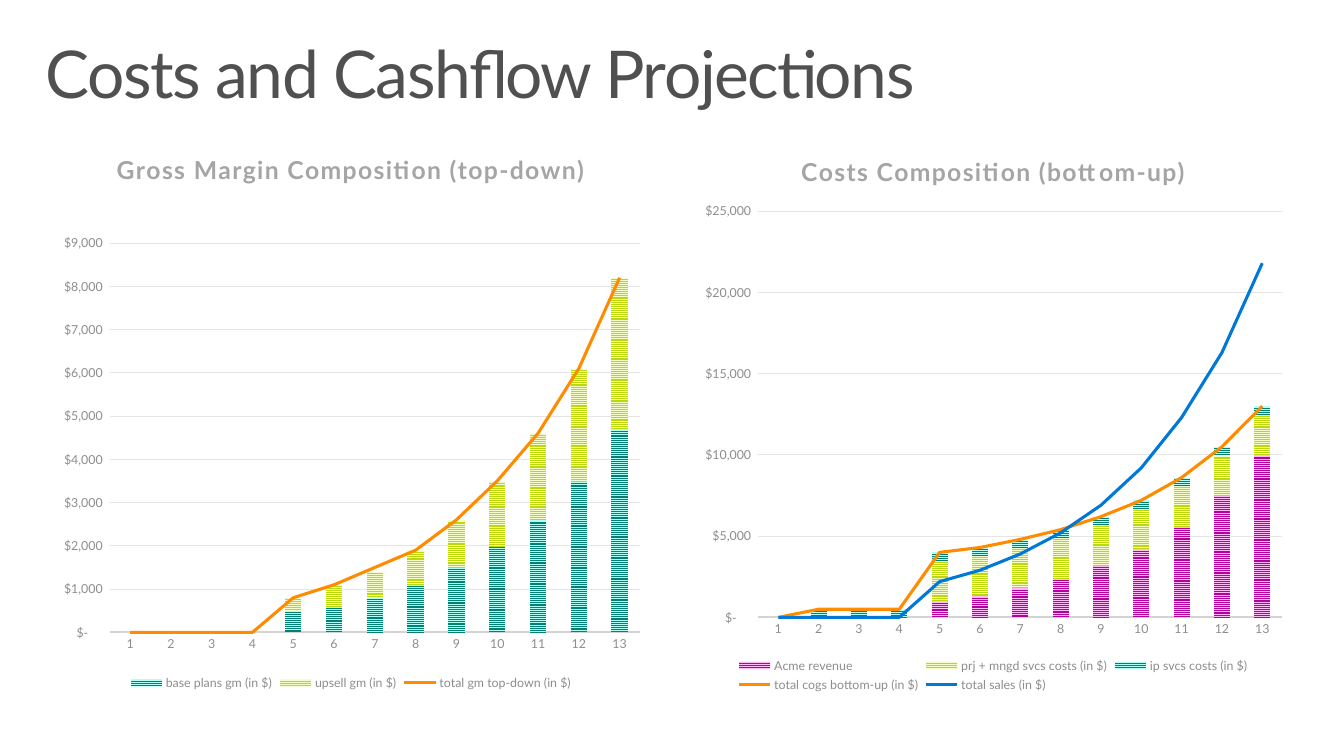
from lxml import etree
from pptx import Presentation
from pptx.chart.data import CategoryChartData
from pptx.dml.color import RGBColor
from pptx.enum import chart as ch, dml, text as tx
from pptx.oxml import parse_xml
from pptx.oxml.ns import nsdecls, qn
from pptx.util import Cm, Pt

FONT = "Lato"
DARK = RGBColor(0x50, 0x50, 0x50)
TITLE_GRAY = RGBColor(0xA5, 0xA5, 0xA5)
LABEL_GRAY = RGBColor(0x8D, 0x8D, 0x8D)
AXIS_GRAY = RGBColor(0xD3, 0xD3, 0xD3)
GRID_GRAY = RGBColor(0xE5, 0xE5, 0xE5)
ORANGE = RGBColor(0xFF, 0x8C, 0x00)
BLUE = RGBColor(0x00, 0x78, 0xD7)
# Stripe colours: foreground, background
TEAL = RGBColor(0x00, 0x82, 0x72), RGBColor(0xB3, 0xFF, 0xF6)
LIME = RGBColor(0xBA, 0xD8, 0x0A), RGBColor(0xF5, 0xFC, 0xC9)
PURPLE = RGBColor(0xB4, 0x00, 0x9E), RGBColor(0xFF, 0xBD, 0xF7)

MONEY = '_("$"* #,##0_);_("$"* \\(#,##0\\);_("$"* "-"??_);_(@_)'
PERIODS = [str(number) for number in range(1, 14)]
IDLE = [0] * 4

# Each series: name, values, colour
MARGIN_BARS = [
    ("base plans gm (in $)",
     IDLE + [500, 600, 800, 1100, 1500, 2000, 2600, 3500, 4700], TEAL),
    ("upsell gm (in $)",
     IDLE + [300, 500, 600, 800, 1100, 1500, 2000, 2600, 3500], LIME),
]
MARGIN_LINES = [
    ("total gm top-down (in $)",
     IDLE + [800, 1100, 1500, 1900, 2600, 3500, 4600, 6100, 8200], ORANGE),
]
COST_BARS = [
    ("Acme revenue",
     IDLE + [1000, 1300, 1800, 2400, 3200, 4200, 5600, 7500, 10000], PURPLE),
    ("prj + mngd svcs costs (in $)", IDLE + [2500] * 9, LIME),
    ("ip svcs costs (in $)", [0] + [500] * 12, TEAL),
]
COST_LINES = [
    ("total cogs bottom-up (in $)",
     [0, 500, 500, 500, 4000, 4300, 4800, 5400, 6200, 7200, 8600, 10500, 13000],
     ORANGE),
    ("total sales (in $)",
     IDLE + [2200, 2900, 3900, 5200, 6900, 9200, 12300, 16300, 21800], BLUE),
]


def format_font(font, size, color, bold=False):
    font.name, font.size, font.bold = FONT, Pt(size), bold
    font.color.rgb = color


def write_text(frame, words, size, color, bold=False, spacing=0, line_spacing=None):
    """Spacing is the space between letters, in points."""
    paragraph = frame.paragraphs[0]
    paragraph.line_spacing = line_spacing
    run = paragraph.add_run()
    run.text = words
    format_font(run.font, size, color, bold)
    run._r.get_or_add_rPr().set("spc", str(spacing * 100))


def add_title(slide, words):
    box = slide.shapes.add_textbox(Cm(0.76), Cm(0.81), Cm(33.02), Cm(2.54))
    frame = box.text_frame
    frame.word_wrap = True
    frame.vertical_anchor = tx.MSO_ANCHOR.TOP
    frame.margin_left = frame.margin_right = Cm(0.41)
    frame.margin_top = frame.margin_bottom = Cm(0.25)
    write_text(frame, words, 48, DARK, spacing=-1, line_spacing=0.9)


def move_to_line_plot(chart, first):
    """Turn the series from index first onward into lines on the same axes."""
    bar_plot = chart.plots[0]._element
    line_plot = parse_xml(
        f'<c:lineChart {nsdecls("c")}><c:grouping val="standard"/>'
        '<c:varyColors val="0"/><c:marker val="1"/></c:lineChart>')
    marker = line_plot.find(qn("c:marker"))
    for series in bar_plot.findall(qn("c:ser"))[first:]:
        for flag in series.findall(qn("c:invertIfNegative")):
            series.remove(flag)
        marker.addprevious(series)
    for axis_id in bar_plot.findall(qn("c:axId")):
        etree.SubElement(line_plot, qn("c:axId")).set("val", axis_id.get("val"))
    bar_plot.addnext(line_plot)


def place_plot(chart, plot_box):
    """Fix the inner plot area; plot_box holds fractions of the chart."""
    area = chart._chartSpace.chart.plotArea
    for layout in area.findall(qn("c:layout")):
        area.remove(layout)
    modes = '<c:xMode val="edge"/><c:yMode val="edge"/>'
    sizes = "".join(f'<c:{key} val="{value}"/>' for key, value in zip("xywh", plot_box))
    area.insert(0, parse_xml(
        f'<c:layout {nsdecls("c")}><c:manualLayout><c:layoutTarget val="inner"/>'
        f'{modes}{sizes}</c:manualLayout></c:layout>'))


def format_axes(chart, maximum, step):
    category_axis, value_axis = chart.category_axis, chart.value_axis
    for axis in (category_axis, value_axis):
        axis.major_tick_mark = axis.minor_tick_mark = ch.XL_TICK_MARK.NONE
        format_font(axis.tick_labels.font, 9, LABEL_GRAY)
    category_axis.format.line.color.rgb = AXIS_GRAY
    category_axis.format.line.width = Pt(1.5)
    value_axis.format.line.fill.background()
    value_axis.minimum_scale, value_axis.maximum_scale = 0, maximum
    value_axis.major_unit = step
    value_axis.tick_labels.number_format = MONEY
    value_axis.tick_labels.number_format_is_linked = False
    value_axis.major_gridlines.format.line.color.rgb = GRID_GRAY
    value_axis.major_gridlines.format.line.width = Pt(0.75)


def format_series(chart, bars, lines):
    bar_plot, line_plot = chart.plots
    bar_plot.gap_width, bar_plot.overlap = 150, 100
    bar_plot.vary_by_categories = False
    for series, (_, _, (front, back)) in zip(bar_plot.series, bars):
        fill = series.format.fill
        fill.patterned()
        fill.pattern = dml.MSO_PATTERN.NARROW_HORIZONTAL
        fill.fore_color.rgb, fill.back_color.rgb = front, back
    for series, (_, _, color) in zip(line_plot.series, lines):
        series.smooth = False
        series.marker.style = ch.XL_MARKER_STYLE.NONE
        series.format.line.color.rgb = color
        series.format.line.width = Pt(2.25)


def add_combined_chart(slide, left, top, title, bars, lines, maximum, step, plot_box):
    data = CategoryChartData(number_format=MONEY)
    data.categories = PERIODS
    for name, values, _ in bars + lines:
        data.add_series(name, values)
    chart = slide.shapes.add_chart(
        ch.XL_CHART_TYPE.COLUMN_STACKED, left, top, Cm(15.49), Cm(14.5), data).chart
    format_font(chart.font, 10, DARK)
    move_to_line_plot(chart, len(bars))
    format_series(chart, bars, lines)
    format_axes(chart, maximum, step)
    place_plot(chart, plot_box)
    # Title and legend
    chart.has_title = True
    write_text(chart.chart_title.text_frame, title, 18, TITLE_GRAY, bold=True, spacing=1)
    chart.chart_title.include_in_layout = False
    chart.has_legend = True
    chart.legend.position = ch.XL_LEGEND_POSITION.BOTTOM
    chart.legend.include_in_layout = False
    format_font(chart.legend.font, 9, LABEL_GRAY)


def main():
    presentation = Presentation()
    presentation.slide_width, presentation.slide_height = Cm(34.54), Cm(19.43)
    slide = presentation.slides.add_slide(presentation.slide_layouts[6])
    add_title(slide, "Costs and Cashflow Projections")
    # Left: margin, right: costs
    add_combined_chart(slide, Cm(1.27), Cm(3.35), "Gross Margin Composition (top-down)",
                       MARGIN_BARS, MARGIN_LINES, 9000, 1000, (0.1, 0.2, 0.88, 0.69))
    add_combined_chart(slide, Cm(17.78), Cm(3.4), "Costs Composition (bottom-up)",
                       COST_BARS, COST_LINES, 25000, 5000, (0.11, 0.14, 0.87, 0.72))
    presentation.save("out.pptx")


main()
